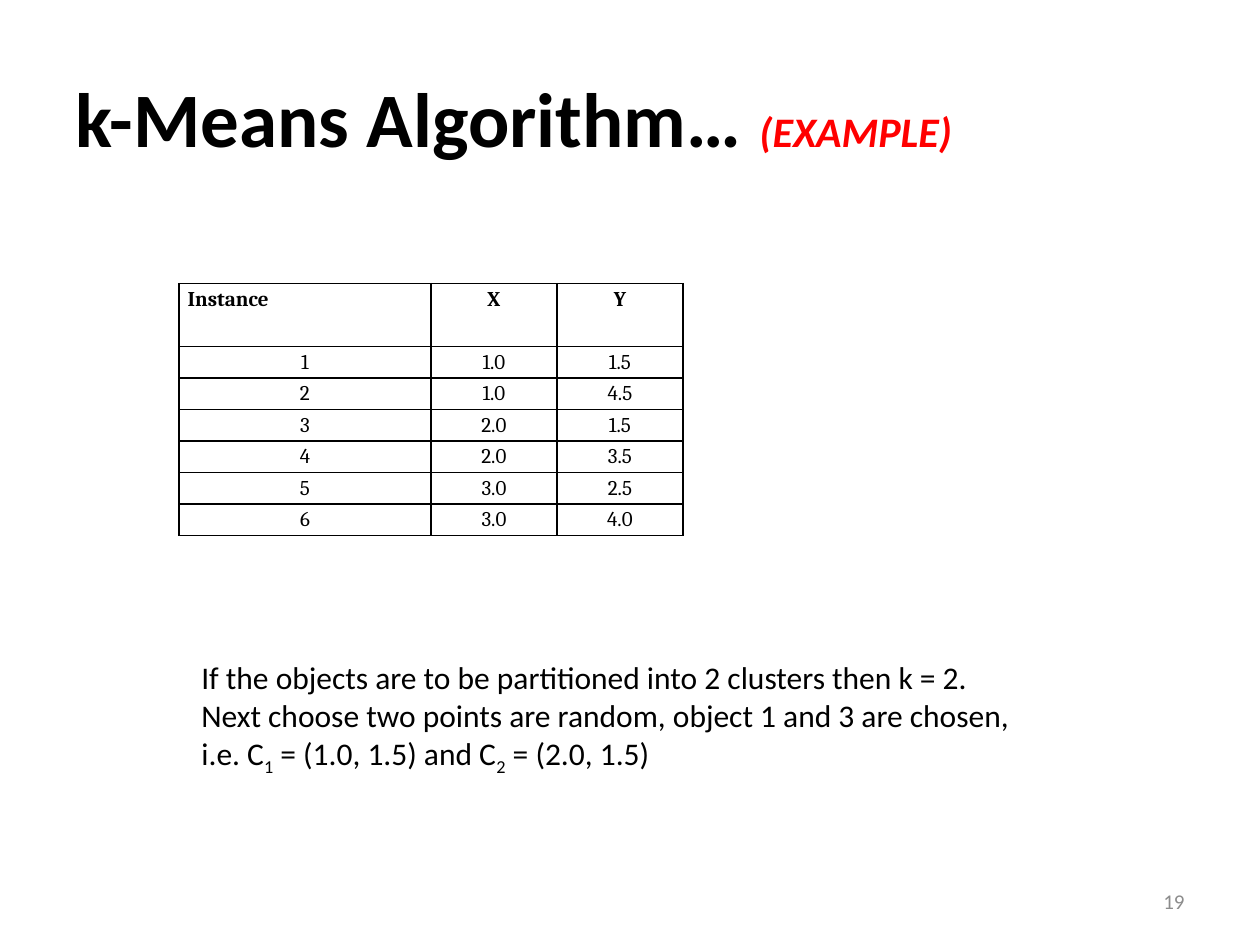
import pptx
import pptx.dml.color
import pptx.enum.text
import pptx.util
from lxml import etree
from pptx.oxml.ns import qn

Inches = pptx.util.Inches
Pt = pptx.util.Pt
RGBColor = pptx.dml.color.RGBColor
Align = pptx.enum.text.PP_ALIGN
Anchor = pptx.enum.text.MSO_ANCHOR

BLACK = RGBColor(0x00, 0x00, 0x00)
RED = RGBColor(0xFF, 0x00, 0x00)
GREY = RGBColor(0x8C, 0x8C, 0x8C)

GRID_COLUMN = Inches(1)
GRID_ROW = Inches(0.25)
COLUMN_SPANS = [2, 1, 1]
ROW_SPANS = [2, 1, 1, 1, 1, 1, 1]

INSTANCES = [
    ("Instance", "X", "Y"),
    ("1", "1.0", "1.5"),
    ("2", "1.0", "4.5"),
    ("3", "2.0", "1.5"),
    ("4", "2.0", "3.5"),
    ("5", "3.0", "2.5"),
    ("6", "3.0", "4.0"),
]

# Each line is a list of (text, is subscript) pieces.
EXPLANATION = [
    [("If the objects are to be partitioned into 2 clusters then k = 2.", False)],
    [("Next choose two points are random, object 1 and 3 are chosen, ", False)],
    [("i.e. C", False), ("1", True), (" = (1.0, 1.5) and C", False),
     ("2", True), (" = (2.0, 1.5)", False)],
]


def add_span(para, text, size, color=BLACK, name="Calibri", bold=False, italic=False):
    span = para.add_run()
    span.text = text
    font = span.font
    font.size, font.name, font.bold, font.italic = Pt(size), name, bold, italic
    font.color.rgb = color
    return span


def draw_borders(cell):
    """Give all four sides of a table cell a thin black line."""
    properties = cell._tc.get_or_add_tcPr()
    for side in ("a:lnL", "a:lnR", "a:lnT", "a:lnB"):
        line = etree.SubElement(properties, qn(side), w=str(Pt(1)))
        fill = etree.SubElement(line, qn("a:solidFill"))
        etree.SubElement(fill, qn("a:srgbClr"), val=str(BLACK))


def place_title(page, left, top, width, height):
    title = page.shapes.title
    title.left, title.top, title.width, title.height = left, top, width, height
    title.text_frame.vertical_anchor = Anchor.MIDDLE
    para = title.text_frame.paragraphs[0]
    para.alignment = Align.LEFT
    add_span(para, "k-Means Algorithm… ", 44, bold=True)
    add_span(para, "(EXAMPLE)", 24, RED, bold=True, italic=True)


def fill_cell(cell, text, is_header, alignment):
    cell.margin_left = cell.margin_right = Inches(0.07)
    cell.margin_top = cell.margin_bottom = 0
    para = cell.text_frame.paragraphs[0]
    para.alignment = alignment
    para.line_spacing = 1.15
    add_span(para, text, 12, name="Cambria", bold=is_header)
    draw_borders(cell)
    cell.fill.background()


def place_instance_table(page, left, top):
    width = GRID_COLUMN * sum(COLUMN_SPANS)
    height = GRID_ROW * sum(ROW_SPANS)
    table = page.shapes.add_table(
        len(ROW_SPANS), len(COLUMN_SPANS), left, top, width, height).table
    table.first_row = table.horz_banding = False
    for column, span in zip(table.columns, COLUMN_SPANS):
        column.width = GRID_COLUMN * span
    for row, span in zip(table.rows, ROW_SPANS):
        row.height = GRID_ROW * span
    for r, values in enumerate(INSTANCES):
        for c, text in enumerate(values):
            alignment = Align.JUSTIFY if r == c == 0 else Align.CENTER
            fill_cell(table.cell(r, c), text, r == 0, alignment)


def place_explanation(page, left, top, width, height):
    frame = page.shapes.add_textbox(left, top, width, height).text_frame
    frame.word_wrap = True
    for index, pieces in enumerate(EXPLANATION):
        para = frame.add_paragraph() if index else frame.paragraphs[0]
        para.alignment = Align.JUSTIFY
        for text, is_subscript in pieces:
            span = add_span(para, text, 18)
            if is_subscript:
                span.font._element.set("baseline", "-25000")


def place_page_number(page, left, top, width, height):
    frame = page.shapes.add_textbox(left, top, width, height).text_frame
    frame.word_wrap = True
    frame.vertical_anchor = Anchor.MIDDLE
    para = frame.paragraphs[0]
    para.alignment = Align.RIGHT
    add_span(para, "19", 12, GREY)


def main():
    deck = pptx.Presentation()
    deck.slide_width, deck.slide_height = Inches(10), Inches(7.5)
    wide, high = deck.slide_width, deck.slide_height
    page = deck.slides.add_slide(deck.slide_layouts[5])
    margin = int(wide * 0.05)

    place_title(page, margin, int(high * 0.04), wide - 2 * margin, int(high / 6))
    place_instance_table(page, int(wide * 0.142), int(high * 0.3))
    place_explanation(page, int(wide * 0.15), int(high * 0.69),
                      int(wide * 0.7), int(high * 0.175))
    number_width = int(wide * 0.233)
    place_page_number(page, wide - margin - number_width, int(high * 0.927),
                      number_width, int(high * 0.053))
    deck.save("out.pptx")


if __name__ == "__main__":
    main()
